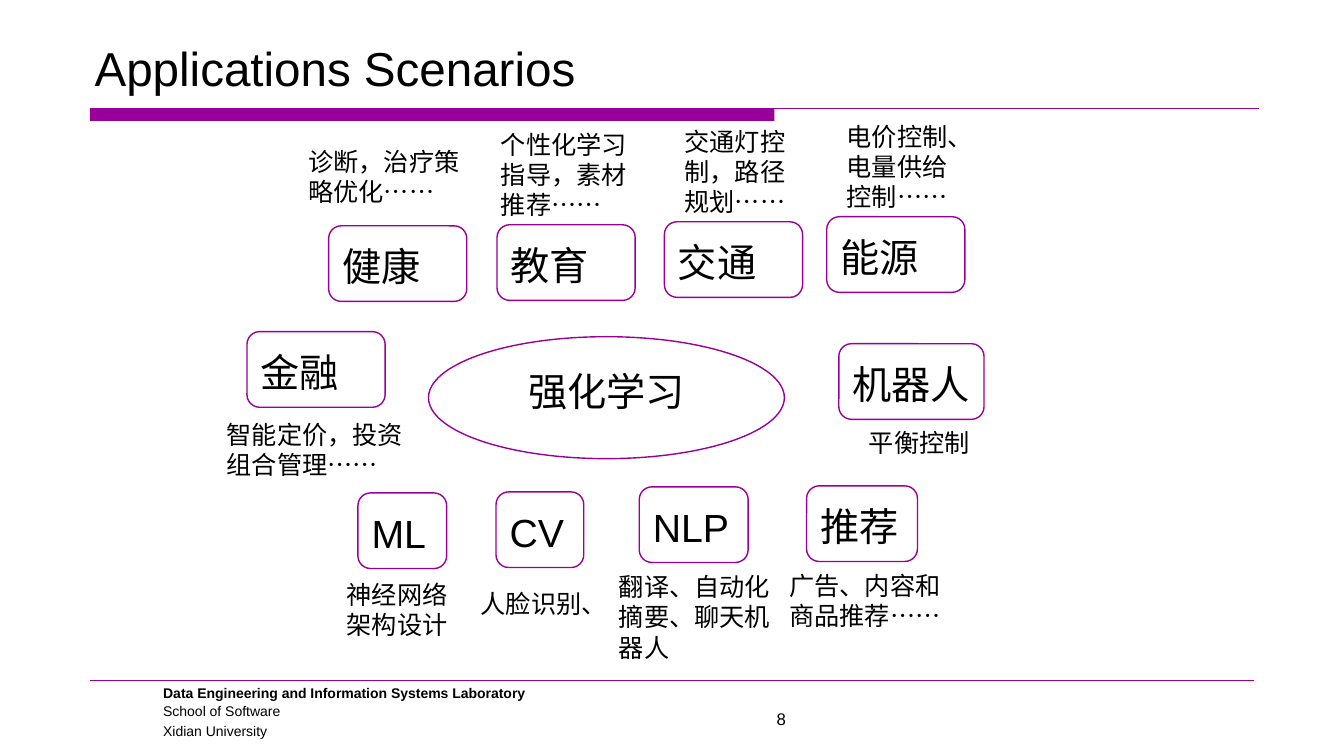
import pptx
import pptx.dml.color
import pptx.enum.shapes
import pptx.enum.text
import pptx.oxml.ns
import pptx.util
from lxml import etree

EMU_PER_PX = 9144
PURPLE = "990099"
WHITE = "FFFFFF"
BLACK = "000000"
SHAPES = pptx.enum.shapes.MSO_SHAPE
ALIGN = pptx.enum.text.PP_ALIGN
ANCHOR = pptx.enum.text.MSO_ANCHOR


def px(length):
    return pptx.util.Emu(length * EMU_PER_PX)


def colour(value):
    return pptx.dml.color.RGBColor.from_string(value)


class SlideBuilder:
    font = "Arial"
    node_size = 28
    caption_size = 18
    node_height = 75

    def __init__(self, page):
        self.page = page

    def add_span(self, para, words, size, bold=False):
        span = para.add_run()
        span.text = words
        span.font.name = self.font
        span.font.size = pptx.util.Pt(size)
        span.font.bold = bold
        span.font.color.rgb = colour(BLACK)

    def text(self, left, top, width, height, words, size,
             align=ALIGN.LEFT, anchor=ANCHOR.TOP, bold=False):
        box = self.page.shapes.add_textbox(px(left), px(top), px(width), px(height))
        frame = box.text_frame
        frame.word_wrap = True
        frame.vertical_anchor = anchor
        para = frame.paragraphs[0]
        para.alignment = align
        self.add_span(para, words, size, bold)
        return frame

    def shape(self, kind, left, top, width, height, fill):
        shape = self.page.shapes.add_shape(kind, px(left), px(top), px(width), px(height))
        shape.shadow.inherit = False
        shape.fill.solid()
        shape.fill.fore_color.rgb = colour(fill)
        return shape

    def bar(self, left, top, width, height):
        self.shape(SHAPES.RECTANGLE, left, top, width, height, PURPLE).line.fill.background()

    def line(self, left, right, top, weight):
        line = self.page.shapes.add_connector(
            pptx.enum.shapes.MSO_CONNECTOR.STRAIGHT, px(left), px(top), px(right), px(top))
        line.line.color.rgb = colour(PURPLE)
        line.line.width = pptx.util.Pt(weight)
        etree.SubElement(line._element.spPr, pptx.oxml.ns.qn("a:effectLst"))

    def node(self, kind, left, top, width, height, words, align=ALIGN.LEFT, right_inset=5):
        shape = self.shape(kind, left, top, width, height, WHITE)
        shape.line.color.rgb = colour(PURPLE)
        shape.line.width = pptx.util.Pt(1)
        frame = shape.text_frame
        frame.word_wrap = True
        frame.vertical_anchor = ANCHOR.TOP
        frame.margin_top = px(13)
        frame.margin_left = px(10)
        frame.margin_right = px(right_inset)
        para = frame.paragraphs[0]
        para.alignment = align
        self.add_span(para, words, self.node_size)

    def scenario(self, name, node_place, caption, caption_place):
        left, top, width = node_place
        self.node(SHAPES.ROUNDED_RECTANGLE, left, top, width, self.node_height, name)
        self.text(*caption_place, caption, self.caption_size)


SCENARIOS = [
    ("健康", (326, 224, 137), "诊断，治疗策略优化……", (296, 140, 172, 71)),
    ("金融", (245, 329, 137), "智能定价，投资组合管理……", (215, 411, 196, 71)),
    ("交通", (659, 220, 137), "交通灯控制，路径规划……", (669, 120, 137, 101)),
    ("教育", (493, 223, 137), "个性化学习指导，素材推荐……", (487, 123, 167, 101)),
    ("能源", (820, 215, 137), "电价控制、电量供给控制……", (830, 115, 137, 101)),
    ("ML", (355, 489, 88), "神经网络架构设计", (334, 570, 131, 71)),
    ("机器人", (832, 341, 144), "平衡控制", (852, 419, 205, 40)),
    ("CV", (492, 488, 87), "人脸识别、", (467, 579, 168, 40)),
    ("NLP", (634, 483, 108), "翻译、自动化摘要、聊天机器人", (604, 562, 192, 101)),
    ("推荐", (800, 482, 110), "广告、内容和商品推荐……", (773, 561, 172, 71)),
]


def main():
    deck = pptx.Presentation()
    deck.slide_width = px(1333)
    deck.slide_height = px(750)
    builder = SlideBuilder(deck.slides.add_slide(deck.slide_layouts[6]))

    builder.bar(89, 108, 679, 12)
    builder.line(89, 1249, 108, 0.75)
    builder.line(89, 1244, 675, 0.25)
    footer = builder.text(152, 674, 922, 64,
                          "Data Engineering and Information Systems Laboratory", 10, bold=True)
    for words, gap in (("School of Software", 1), ("Xidian University", 2)):
        para = footer.add_paragraph()
        para.space_before = pptx.util.Pt(gap)
        builder.add_span(para, words, 10)

    builder.text(84, 17, 1167, 83, "Applications Scenarios", 34, anchor=ANCHOR.BOTTOM)
    builder.text(636, 698, 278, 25, "8", 12, align=ALIGN.CENTER)
    builder.node(SHAPES.OVAL, 425, 334, 353, 121, "强化学习", ALIGN.CENTER, right_inset=10)
    for scenario in SCENARIOS:
        builder.scenario(*scenario)

    deck.save("out.pptx")


if __name__ == "__main__":
    main()
